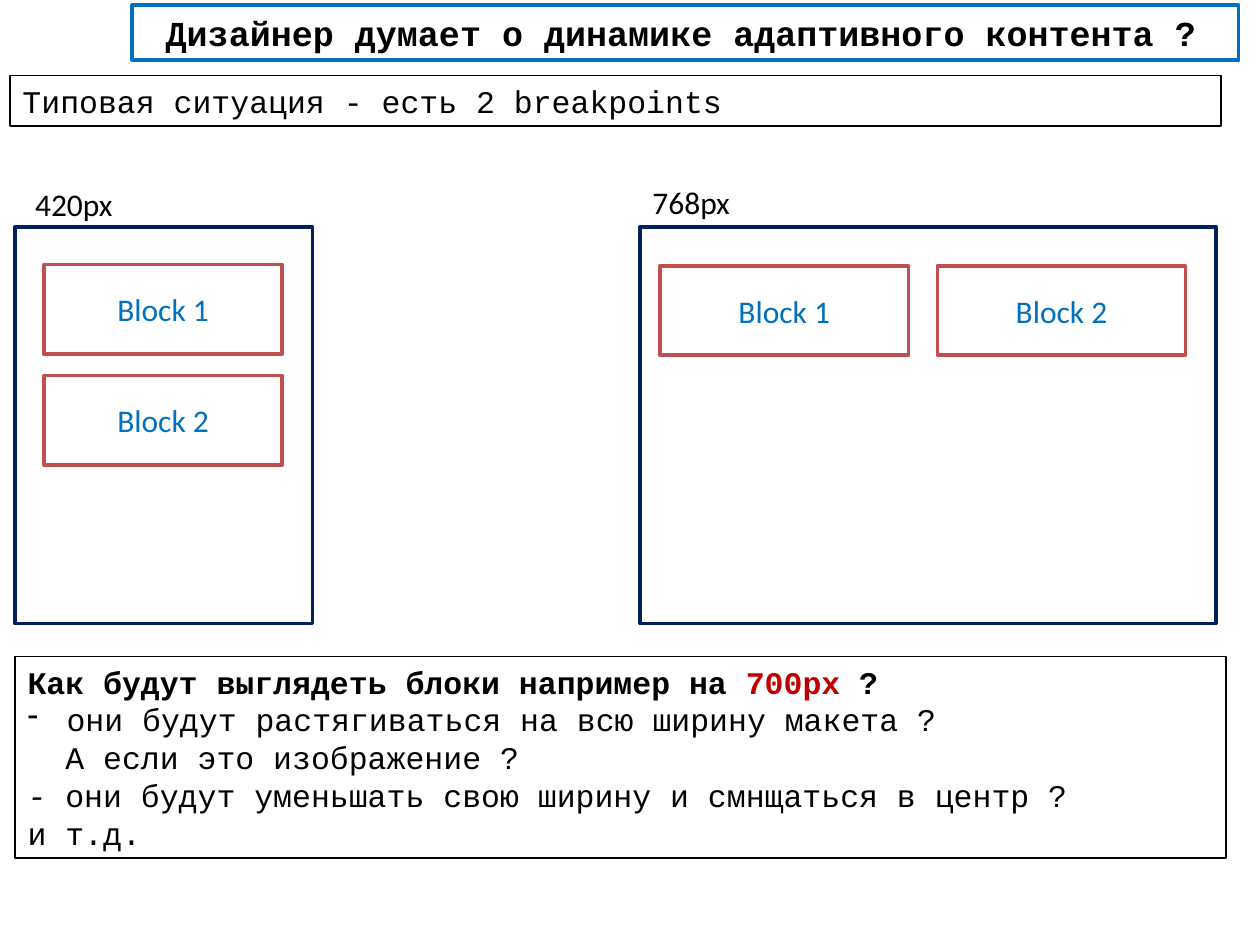
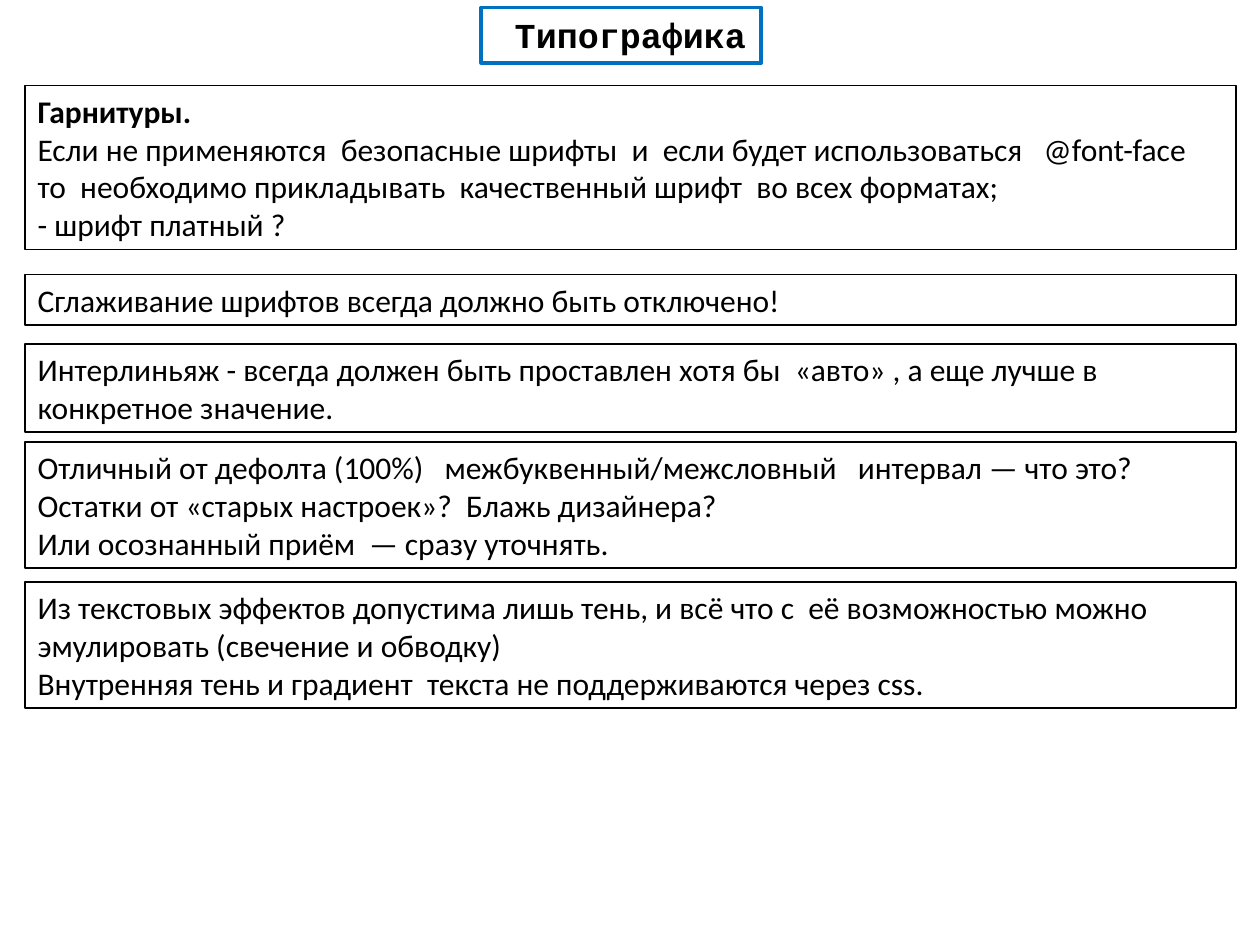
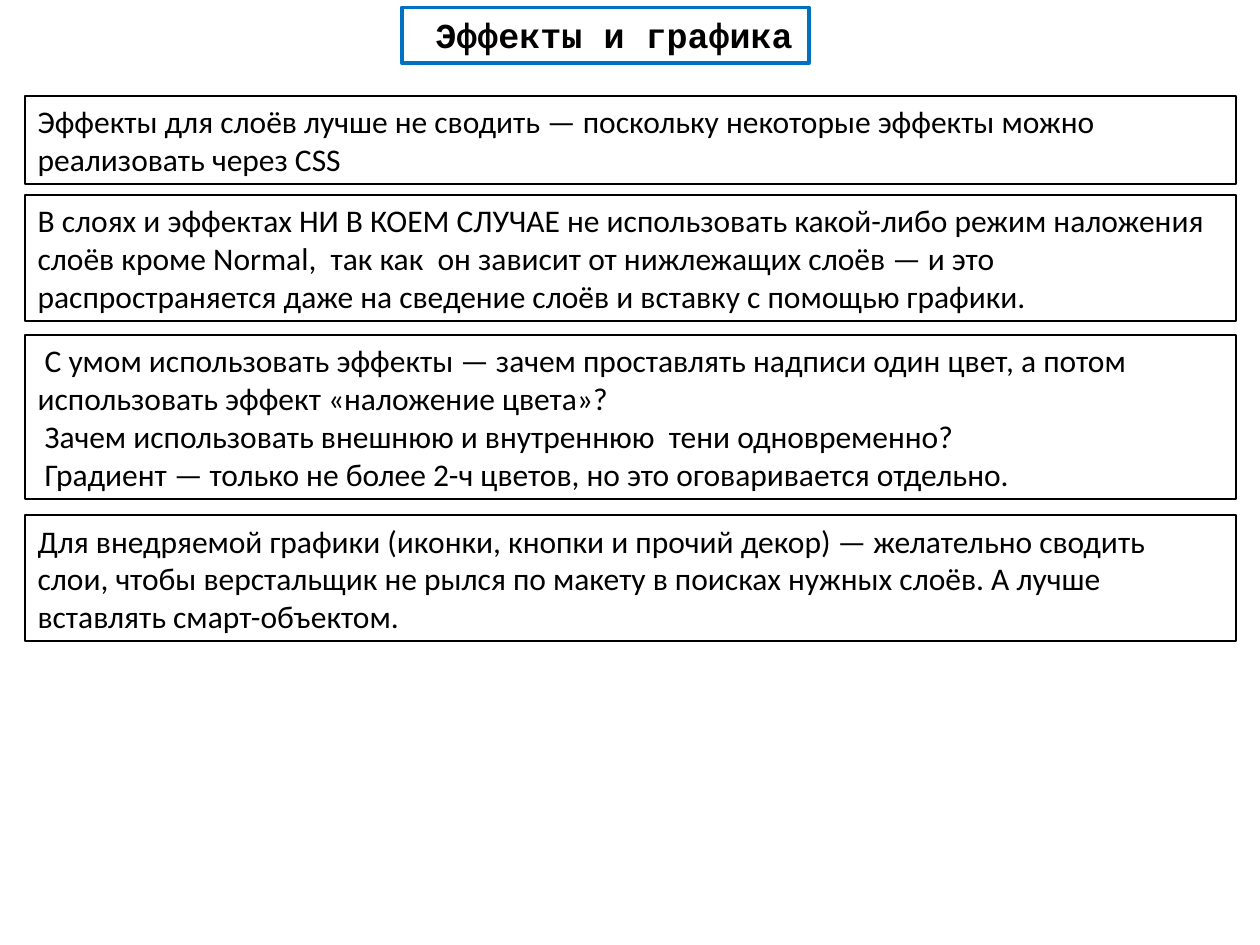
import pptx
import pptx.util
from pptx.dml.color import RGBColor
from pptx.enum.shapes import MSO_SHAPE
from pptx.enum.text import MSO_ANCHOR, MSO_AUTO_SIZE, PP_ALIGN
from pptx.oxml.ns import qn
from pptx.util import Inches
from lxml import etree

# Colours and fonts
BLACK = RGBColor(0x00, 0x00, 0x00)
BLUE = RGBColor(0x00, 0x70, 0xC0)
NAVY = RGBColor(0x00, 0x20, 0x60)
BRICK = RGBColor(0xC0, 0x50, 0x4D)
RED = RGBColor(0xC0, 0x00, 0x00)
SANS, MONO = "Calibri", "Courier New"

# Text formats
BODY = {"name": SANS, "size": pptx.util.Pt(18), "color": BLACK}
CODE = {**BODY, "name": MONO}
TITLE = {**CODE, "size": pptx.util.Pt(20), "bold": True}
BLOCK = {**BODY, "color": BLUE}
BOLD = {"bold": True}

# Shared geometry, in inches
CARD_WIDTH = 9.61
TITLE_HEIGHT = 0.44
BLOCK_HEIGHT = 0.71
FRAME_TOP, FRAME_HEIGHT = 1.8, 3.15

# Content. A paragraph is a string or a list of (text, format) runs;
# a dict adds a left margin, a first-line indent or a bullet.
QUESTION = [
    [("Как будут выглядеть блоки например на ", BOLD),
     ("700px ", {"bold": True, "color": RED}), ("?", BOLD)],
    {"text": "они будут растягиваться на всю ширину макета ?",
     "margin": 0.31, "indent": -0.31, "bullet": "-"},
    {"text": "А если это изображение ?", "margin": 0.3, "indent": 0},
    [("- ", {"italic": True}),
     ("они будут уменьшать свою ширину и смнщаться в центр ?", {})],
    "и т.д.",
]

# Each card: left, top, number of lines, paragraphs
SLIDES = [
    {"title": ("\u00a0Дизайнер думает о динамике адаптивного контента ? ", 1.05, 0.04, 8.78),
     "format": CODE,
     "cards": [
         (0.08, 0.6, 1, ["Типовая ситуация - есть 2 breakpoints"]),
         (0.12, 5.21, 5, QUESTION)]},
    {"title": ("\u00a0Типографика", 3.82, 0.06, 2.22),
     "format": BODY,
     "cards": [
         (0.2, 0.68, 4, [
             [("Гарнитуры.", BOLD)],
             "Если не применяются  безопасные шрифты  и  если будет использоваться   @font-face",
             "то  необходимо прикладывать  качественный шрифт  во всех форматах;",
             "- шрифт платный ?"]),
         (0.2, 2.18, 1, ["Сглаживание шрифтов всегда должно быть отключено!"]),
         (0.2, 2.73, 2, [
             "Интерлиньяж - всегда должен быть проставлен хотя бы  «авто» , "
             "а еще лучше в  конкретное значение."]),
         (0.2, 3.51, 3, [
             "Отличный от дефолта (100%)   межбуквенный/межсловный   интервал — что это? "
             "Остатки от «старых настроек»?  Блажь дизайнера?",
             "Или осознанный приём  — сразу уточнять."]),
         (0.2, 4.62, 3, [
             "Из текстовых эффектов допустима лишь тень, и всё что с  её возможностью "
             "можно эмулировать (свечение и обводку)",
             "Внутренняя тень и градиент  текста не поддерживаются через css."])]},
    {"title": ("\u00a0Эффекты и графика", 3.19, 0.06, 3.23),
     "format": BODY,
     "cards": [
         (0.2, 0.76, 2, [
             "Эффекты для слоёв лучше не сводить — поскольку некоторые эффекты "
             "можно реализовать через CSS"]),
         (0.2, 1.55, 3, [
             "В слоях и эффектах НИ В КОЕМ СЛУЧАЕ не использовать какой-либо режим "
             "наложения слоёв кроме Normal,  так как  он зависит от нижлежащих слоёв — "
             "и это распространяется даже на сведение слоёв и вставку с помощью графики."]),
         (0.2, 2.66, 4, [
             "\u00a0С умом использовать эффекты — зачем проставлять надписи один цвет, "
             "а потом использовать эффект «наложение цвета»?",
             " Зачем использовать внешнюю и внутреннюю  тени одновременно?",
             " Градиент — только не более 2-ч цветов, но это оговаривается отдельно."]),
         (0.2, 4.09, 3, [
             "Для внедряемой графики (иконки, кнопки и прочий декор) — желательно сводить "
             "слои, чтобы верстальщик не рылся по макету в поисках нужных слоёв. "
             "А лучше вставлять смарт-объектом."])]},
]

# Screen mock-ups of the first slide
BLOCK_NAMES = ["Block 1", "Block 2"]
SCREENS = [
    {"label": ("420px", 0.18, 1.42), "left": 0.12, "width": 2.36,
     "first": (0.35, 2.1), "step": (0, 0.88), "block_width": 1.89},
    {"label": ("768px", 5.08, 1.4), "left": 5.08, "width": 4.57,
     "first": (5.24, 2.11), "step": (2.2, 0), "block_width": 1.97},
]


def write(shape, paragraphs, base, wrap=True, align=PP_ALIGN.LEFT,
          anchor=MSO_ANCHOR.TOP, grow=True):
    """Fill a shape with paragraphs in a base format."""
    frame = shape.text_frame
    frame.word_wrap = wrap
    frame.vertical_anchor = anchor
    frame.auto_size = MSO_AUTO_SIZE.SHAPE_TO_FIT_TEXT if grow else MSO_AUTO_SIZE.NONE
    for index, content in enumerate(paragraphs):
        paragraph = frame.add_paragraph() if index else frame.paragraphs[0]
        paragraph.alignment = align
        if isinstance(content, dict):
            properties = paragraph._p.get_or_add_pPr()
            properties.set("marL", str(Inches(content["margin"])))
            properties.set("indent", str(Inches(content["indent"])))
            if "bullet" in content:
                etree.SubElement(properties, qn("a:buChar"), char=content["bullet"])
            content = content["text"]
        runs = [(content, {})] if isinstance(content, str) else content
        for text, changes in runs:
            run = paragraph.add_run()
            run.text = text
            for name, value in {**base, **changes}.items():
                if name == "color":
                    run.font.color.rgb = value
                else:
                    setattr(run.font, name, value)


def add_box(slide, left, top, width, height, color, weight):
    """Add an outlined rectangle without fill or shadow."""
    shape = slide.shapes.add_shape(
        MSO_SHAPE.RECTANGLE, *map(Inches, (left, top, width, height)))
    shape.shadow.inherit = False
    shape.fill.background()
    shape.line.color.rgb = color
    shape.line.width = pptx.util.Pt(weight)
    return shape


def add_screen(slide, screen):
    """Draw one screen: frame, blocks at an equal step, and width label."""
    add_box(slide, screen["left"], FRAME_TOP, screen["width"], FRAME_HEIGHT, NAVY, 2)
    (left, top), (step_x, step_y) = screen["first"], screen["step"]
    for index, name in enumerate(BLOCK_NAMES):
        block = add_box(slide, left + index * step_x, top + index * step_y,
                        screen["block_width"], BLOCK_HEIGHT, BRICK, 2)
        write(block, [name], BLOCK, align=PP_ALIGN.CENTER,
              anchor=MSO_ANCHOR.MIDDLE, grow=False)
    text, left, top = screen["label"]
    label = slide.shapes.add_textbox(*map(Inches, (left, top, 0.82, 0.4)))
    write(label, [text], BODY, wrap=False)


presentation = pptx.Presentation()
presentation.slide_width, presentation.slide_height = Inches(10), Inches(7.5)

for number, content in enumerate(SLIDES):
    slide = presentation.slides.add_slide(presentation.slide_layouts[6])
    # Text cards, as high as their lines
    for left, top, lines, paragraphs in content["cards"]:
        height = 0.1 + 0.3 * lines
        card = add_box(slide, left, top, CARD_WIDTH, height, BLACK, 1)
        write(card, paragraphs, content["format"])
    # Mock-ups
    if number == 0:
        for screen in SCREENS:
            add_screen(slide, screen)
    # Title frame
    text, left, top, width = content["title"]
    title = add_box(slide, left, top, width, TITLE_HEIGHT, BLUE, 2.25)
    write(title, [text], TITLE, wrap=False)

presentation.save("out.pptx")
